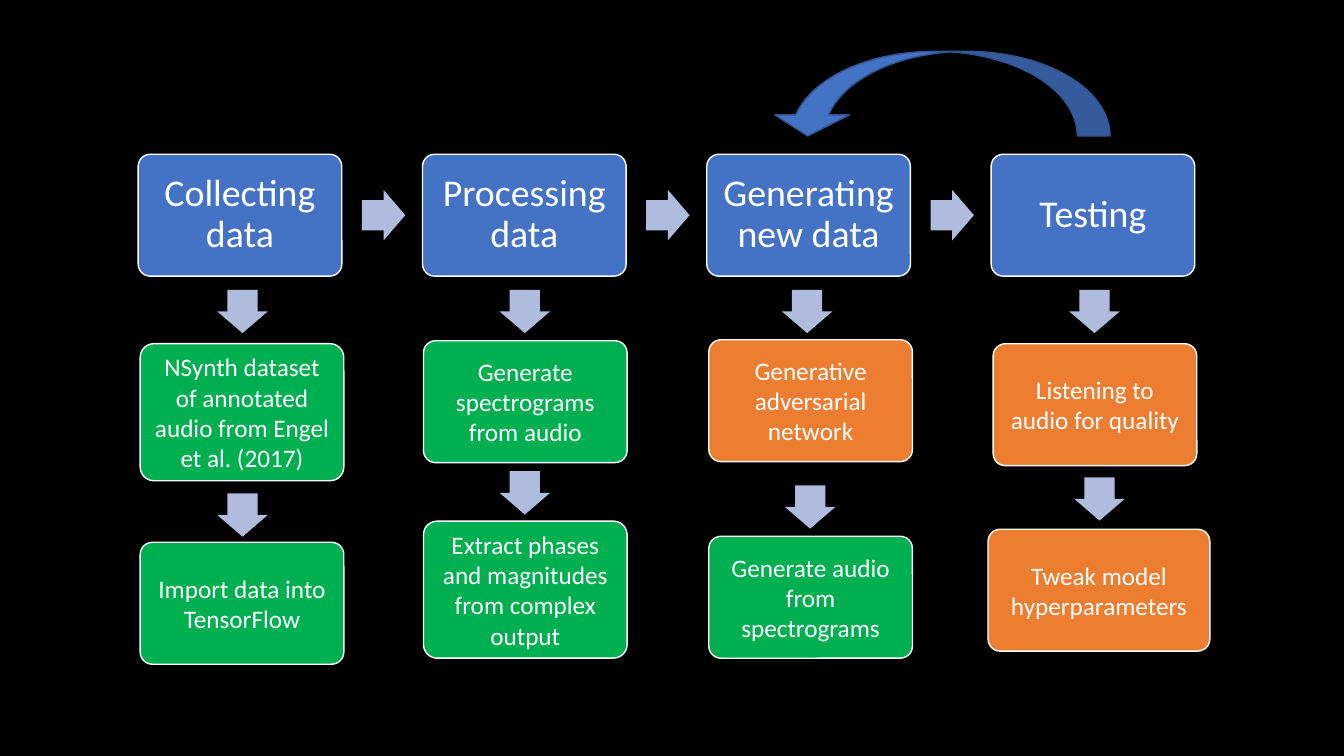
from pptx import Presentation
from pptx import util as u
from pptx.dml.color import RGBColor
from pptx.enum import shapes, text
from pptx.oxml.ns import qn

COLOURS = {
    "black": "000000",
    "white": "FFFFFF",
    "blue": "4472C4",
    "navy": "325491",
    "green": "00B050",
    "orange": "ED7D31",
    "lilac": "B0BCDE",
}
BOX_WIDTH, BOX_HEIGHT = 2.02, 1.21
ARROW_WIDTH, ARROW_HEIGHT = 0.43, 0.5
FIRST_LEFT, STAGE_TOP, STAGE_STEP = 1.37, 1.53, 2.82
STAGE_FORMAT = {"size": 27, "spacing": 0.9, "inset": 0.1}
STEP_FORMAT = {"size": 18, "spacing": 1.0, "inset": 0.1}

STAGES = ["Collecting data", "Processing data", "Generating new data", "Testing"]
STEPS = [
    ("NSynth dataset of annotated audio from Engel et al. (2017)", "green", (1.39, 3.41, BOX_WIDTH, 1.36)),
    ("Import data into TensorFlow", "green", (1.39, 5.38, BOX_WIDTH, BOX_HEIGHT)),
    ("Generate spectrograms from audio", "green", (4.2, 3.38, BOX_WIDTH, BOX_HEIGHT)),
    ("Extract phases and magnitudes from complex output", "green", (4.2, 5.17, BOX_WIDTH, 1.36)),
    ("Generative adversarial network", "orange", (7.03, 3.37, BOX_WIDTH, BOX_HEIGHT)),
    ("Generate audio from spectrograms", "green", (7.03, 5.32, BOX_WIDTH, BOX_HEIGHT)),
    ("Listening to audio for quality", "orange", (9.85, 3.41, BOX_WIDTH, BOX_HEIGHT)),
    ("Tweak model hyperparameters", "orange", (9.8, 5.25, 2.2, BOX_HEIGHT)),
]
DOWN_ARROWS = [
    (2.19, 2.84), (2.19, 4.86),
    (4.99, 2.84), (4.99, 4.64),
    (7.79, 2.84), (7.82, 4.78),
    (10.64, 2.84), (10.69, 4.7),
]


def colour(name):
    return RGBColor.from_string(COLOURS[name])


def add_figure(page, kind, bounds, adjustments, fill, line=None):
    figure = page.shapes.add_shape(kind, *map(u.Inches, bounds))
    for index, value in enumerate(adjustments):
        figure.adjustments[index] = value
    figure.shadow.inherit = False
    figure.fill.solid()
    figure.fill.fore_color.rgb = colour(fill)
    if line:
        figure.line.color.rgb = colour(line)
        figure.line.width = u.Pt(1)
    else:
        figure.line.fill.background()
    return figure


def add_box(page, words, bounds, fill, style):
    box = add_figure(page, shapes.MSO_SHAPE.ROUNDED_RECTANGLE, bounds, [0.1], fill, "white")
    frame = box.text_frame
    frame_format = {
        "word_wrap": True,
        "vertical_anchor": text.MSO_ANCHOR.MIDDLE,
        "margin_left": u.Inches(style["inset"]),
        "margin_right": u.Inches(style["inset"]),
        "margin_top": u.Inches(0.05),
        "margin_bottom": u.Inches(0.05),
    }
    for name, value in frame_format.items():
        setattr(frame, name, value)
    para = frame.paragraphs[0]
    para.alignment = text.PP_ALIGN.CENTER
    para.line_spacing = style["spacing"]
    span = para.add_run()
    span.text = words
    for name, value in {"name": "Calibri", "size": u.Pt(style["size"])}.items():
        setattr(span.font, name, value)
    span.font.color.rgb = colour("white")


def add_arrow(page, left, top, rotation=0):
    bounds = (left, top, ARROW_WIDTH, ARROW_HEIGHT)
    arrow = add_figure(page, shapes.MSO_SHAPE.RIGHT_ARROW, bounds, [0.6, 0.5], "lilac")
    arrow.rotation = rotation


def add_feedback_arrow(page):
    arrow = add_figure(page, shapes.MSO_SHAPE.CURVED_DOWN_ARROW, (7.64, 0.51, 3.37, 0.84),
                       [0.386, 0.882, 0.25], "blue", "navy")
    arrow._element.spPr.find(qn("a:xfrm")).set("flipH", "1")


def main():
    deck = Presentation()
    deck.slide_width, deck.slide_height = u.Inches(13.33), u.Inches(7.5)
    page = deck.slides.add_slide(deck.slide_layouts[6])
    page.background.fill.solid()
    page.background.fill.fore_color.rgb = colour("black")

    for index, words in enumerate(STAGES):
        left = FIRST_LEFT + index * STAGE_STEP
        add_box(page, words, (left, STAGE_TOP, BOX_WIDTH, BOX_HEIGHT), "blue", STAGE_FORMAT)
        if index < len(STAGES) - 1:
            add_arrow(page, left + BOX_WIDTH + 0.2, STAGE_TOP + (BOX_HEIGHT - ARROW_HEIGHT) / 2)
    for words, fill, bounds in STEPS:
        add_box(page, words, bounds, fill, STEP_FORMAT)
    for left, top in DOWN_ARROWS:
        add_arrow(page, left, top, 90)
    add_feedback_arrow(page)
    deck.save("out.pptx")


if __name__ == "__main__":
    main()
